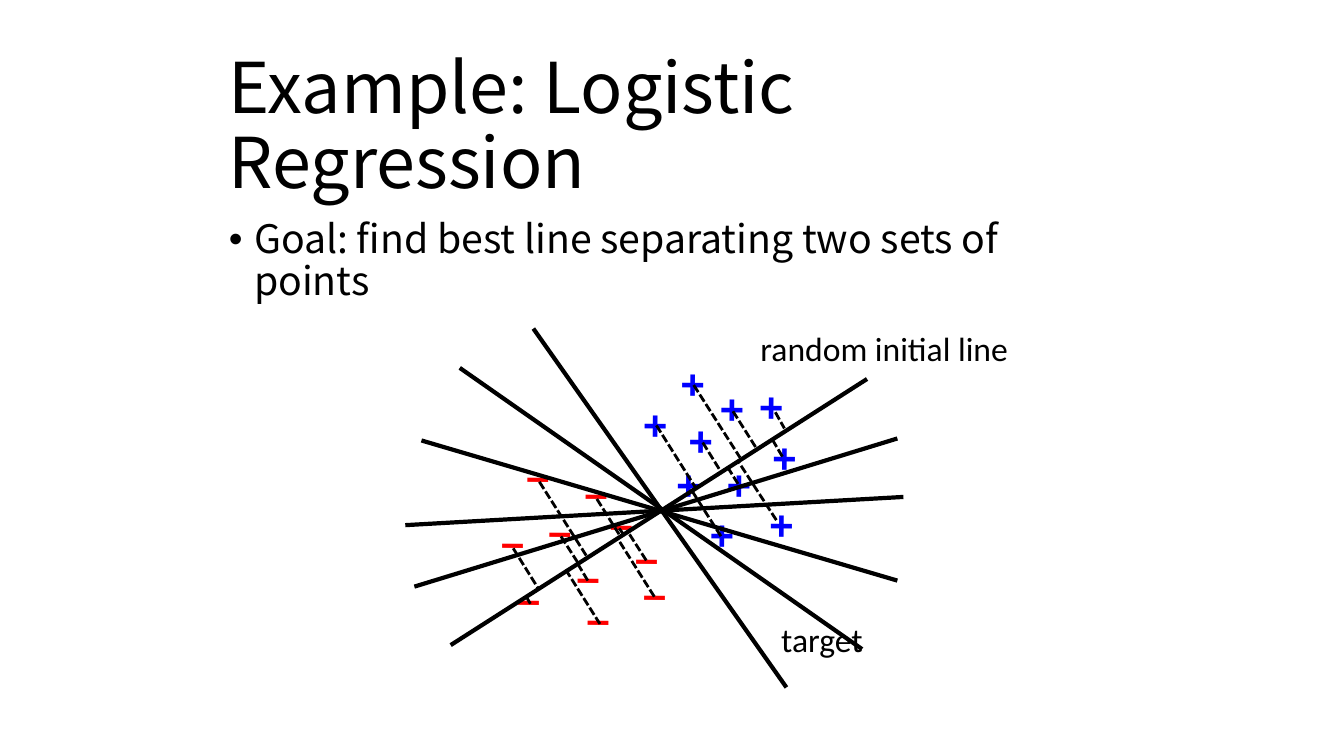
from dataclasses import dataclass
from lxml.etree import SubElement
from pptx import Presentation
from pptx.dml.color import RGBColor as Rgb
from pptx.enum.dml import MSO_LINE as Dash
from pptx.enum.shapes import MSO_CONNECTOR as Link
from pptx.enum.text import MSO_ANCHOR as Anchor, MSO_AUTO_SIZE as Fit, PP_ALIGN as Align
from pptx.oxml.ns import qn
from pptx.shapes.autoshape import Shape
from pptx.slide import Slide
from pptx.text.text import _Paragraph as Para
from pptx.util import Cm, Length, Pt

BLACK, BLUE, RED = "000000", "0000FF", "FF0000"
HEAD = "Noto Sans CJK SC"


@dataclass
class Style:
    font: str
    size: float
    hue: str = BLACK
    bold: bool = False


@dataclass
class Mark:
    sign: str
    width: float
    style: Style
    spots: list[tuple[float, float]]


@dataclass
class Group:
    weight: float
    dash: Dash
    ends: list[tuple[float, float, float, float]]


@dataclass
class Label:
    words: str
    box: tuple[float, float, float, float]
    side: Align


MARKS = [
    Mark("+", 0.45, Style("Arial", 30, BLUE, True), [
        (6.73, 4.06), (6.61, 4.5), (7.56, 4.23), (7.11, 4.5), (7.04, 3.75), (7.53, 4.9),
        (6.28, 3.91), (6.65, 3.5), (7.43, 3.73), (6.94, 5),
    ]),
    Mark("–", 0.44, Style("Arial", 30, RED, True), [
        (5.62, 5.41), (5.34, 4.96), (5.95, 4.89), (5.7, 4.58), (5.03, 5.63), (5.12, 4.41),
        (6.2, 5.22), (5.72, 5.83), (6.28, 5.58), (4.87, 5.07),
    ]),
]
GROUPS = [
    Group(3, Dash.SOLID, [
        (5.29, 3.26, 7.8, 6.82), (4.47, 6.4, 8.6, 3.76), (4.11, 5.82, 8.9, 4.35),
        (4.02, 5.21, 8.96, 4.93), (4.18, 4.37, 8.9, 5.76), (4.56, 3.65, 8.55, 6.44),
    ]),
    Group(2, Dash.SQUARE_DOT, [
        (5.83, 5.76, 5.74, 5.61), (7.27, 4.08, 7.51, 4.46), (6.97, 4.39, 7.15, 4.68),
        (6.88, 3.82, 7.34, 4.54), (7.69, 4.09, 7.78, 4.25), (6.51, 4.22, 6.9, 4.84),
        (7.76, 4.53, 7.66, 4.36), (7.32, 4.8, 7.22, 4.64), (7.7, 5.16, 7.33, 4.59),
        (7.15, 5.32, 6.87, 4.88), (5.35, 4.78, 5.82, 5.52), (5.92, 4.95, 6.14, 5.3),
        (5.09, 5.44, 5.34, 5.84), (6.41, 5.56, 6.23, 5.28), (5.61, 5.65, 5.95, 6.19),
        (6.49, 5.92, 6.13, 5.35), (5.26, 5.99, 5.22, 5.92), (6.19, 5.31, 6.14, 5.24),
        (5.73, 5.58, 5.55, 5.3),
    ]),
]
LABELS = [
    Label("target", (7.65, 6.09, 1.07, 0.51), Align.LEFT),
    Label("random initial line", (7.42, 3.2, 2.7, 0.51), Align.CENTER),
]


def paint(code: str) -> Rgb:
    return Rgb.from_string(code)


def span(inch: float) -> Length:
    return Cm(inch * 2.54)


def write(para: Para, words: str, style: Style) -> None:
    run = para.add_run()
    run.text = words
    font = run.font
    font.name, font.size, font.bold = style.font, Pt(style.size), style.bold
    font.color.rgb = paint(style.hue)


def fill(shape: Shape, box: tuple[float, float, float, float],
         words: str, style: Style, anchor: Anchor) -> Para:
    shape.left, shape.top, shape.width, shape.height = map(span, box)
    frame = shape.text_frame
    frame.word_wrap, frame.auto_size = True, Fit.NONE
    frame.vertical_anchor = anchor
    para = frame.paragraphs[0]
    para.alignment, para.line_spacing = Align.LEFT, 0.9
    write(para, words, style)
    return para


def point(para: Para) -> None:
    para.space_before = Pt(10)
    props = para._p.get_or_add_pPr()
    props.set("marL", str(span(0.25)))
    props.set("indent", str(span(-0.25)))
    SubElement(props, qn("a:buFont"), typeface="Arial")
    SubElement(props, qn("a:buChar"), char="•")


def note(slide: Slide, box: tuple[float, float, float, float], words: str,
         style: Style, side: Align = Align.LEFT, turn: float = 0) -> None:
    shape = slide.shapes.add_textbox(*map(span, box))
    shape.rotation = turn
    frame = shape.text_frame
    frame.word_wrap, frame.auto_size = False, Fit.SHAPE_TO_FIT_TEXT
    para = frame.paragraphs[0]
    para.alignment = side
    write(para, words, style)


def rule(slide: Slide, ends: tuple[float, float, float, float], group: Group) -> None:
    link = slide.shapes.add_connector(Link.STRAIGHT, *map(span, ends))
    link.line.color.rgb = paint(BLACK)
    link.line.width = Pt(group.weight)
    link.line.dash_style = group.dash
    SubElement(link._element.spPr, qn("a:effectLst"))


def main() -> None:
    deck = Presentation()
    deck.slide_width, deck.slide_height = span(13.33), span(7.5)
    slide = deck.slides.add_slide(deck.slide_layouts[1])
    title, body = slide.placeholders
    fill(title, (2.17, 0.65, 9, 1.25), "Example: Logistic Regression",
         Style(HEAD, 50), Anchor.MIDDLE)
    point(fill(body, (2.17, 2.13, 9, 1.03),
               "Goal: find best line separating two sets of points",
               Style(HEAD, 28), Anchor.TOP))
    for mark in MARKS:
        for left, top in mark.spots:
            note(slide, (left, top, mark.width, 0.61), mark.sign, mark.style, turn=0.4)
    for label in LABELS:
        note(slide, label.box, label.words, Style("Calibri", 24), label.side)
    for group in GROUPS:
        for ends in group.ends:
            rule(slide, ends, group)
    deck.save("out.pptx")


if __name__ == "__main__":
    main()
